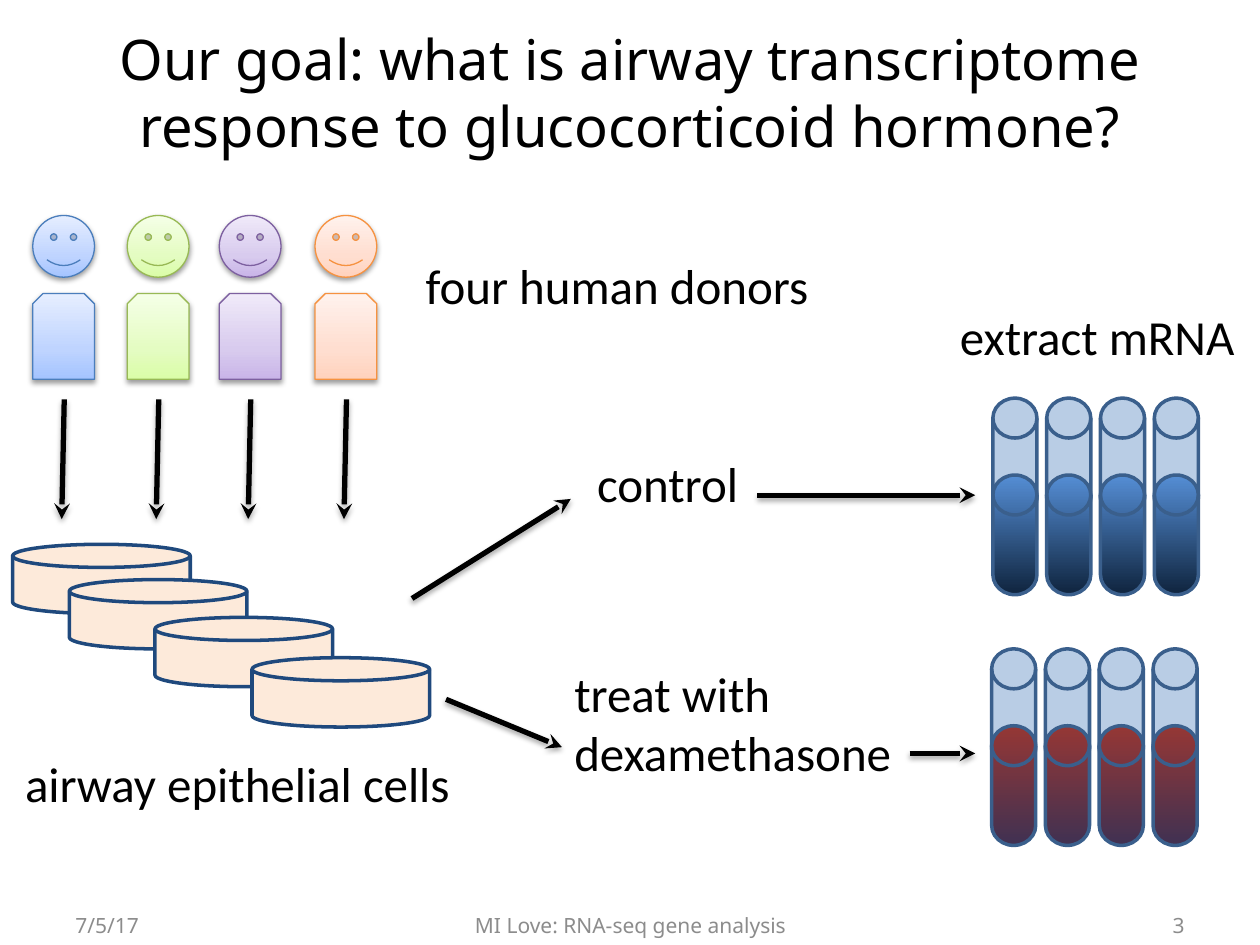
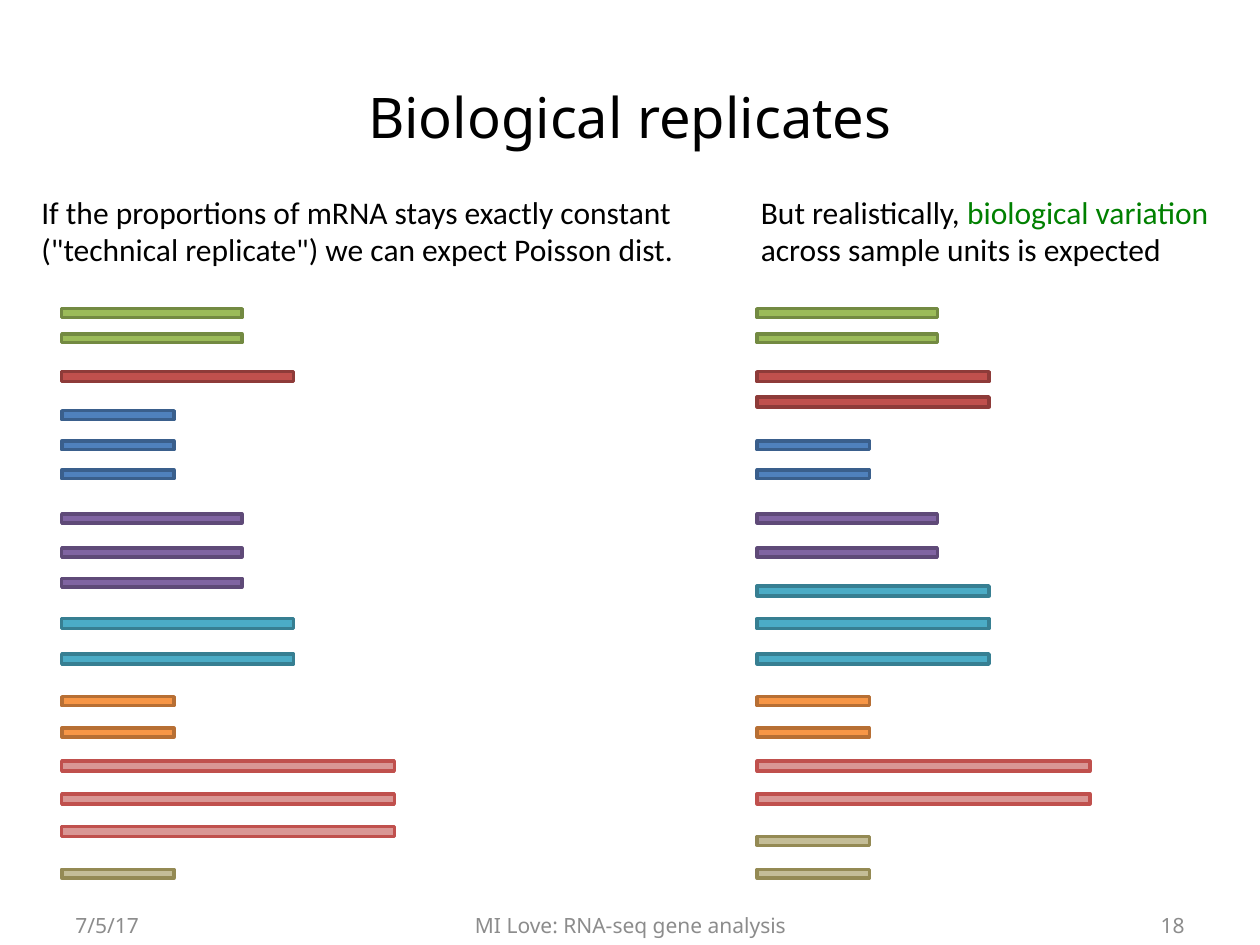
from dataclasses import dataclass

from lxml import etree
from pptx import Presentation
from pptx import util as u
from pptx.dml.color import RGBColor
from pptx.enum import shapes, text
from pptx.oxml.ns import qn

Inches = u.Inches
ALIGN = text.PP_ALIGN
SHAPE = shapes.MSO_SHAPE


@dataclass(frozen=True)
class Theme:
    heading_font: str = "Noto Sans"
    body_font: str = "Calibri"
    title_size: int = 32
    label_size: int = 28
    note_size: int = 18
    footer_size: int = 12
    ink: str = "000000"
    footer_ink: str = "8C8C8C"
    highlight: str = "008000"
    dish_fill: str = "FDEADA"
    dish_line: str = "1F497D"
    glass: str = "B9CDE5"
    glass_line: str = "3A5F8C"
    control_liquid: tuple = ((0, "558ED5"), (100, "0F243E"))
    treated_liquid: tuple = ((0, "953735"), (100, "403152"))
    thin: float = 0.75
    medium: float = 2
    thick: float = 3


THEME = Theme()
SHAPE_SHADOW = {"alpha": 38, "distance": 1.6}
ARROW_SHADOW = {"alpha": 35, "distance": 1.8}

# left edge, outline, gradient from bottom to top
DONORS = [
    (0.26, "4B7EBC", ((0, "A4C4FF"), (35, "BFD4FF"), (100, "E6EEFF"))),
    (1.01, "98B955", ((0, "DAFDA7"), (35, "E4FCC2"), (100, "F5FFE7"))),
    (1.74, "7D60A0", ((0, "C9B5E8"), (35, "D8CBEE"), (100, "F0EAF9"))),
    (2.5, "F69240", ((0, "FFD2BD"), (35, "FFDED0"), (100, "FFF2ED"))),
]
DISHES = [(0.1, 4.32), (0.55, 4.6), (1.23, 4.9), (2, 5.22)]

SHORT, MIDDLE, LONG, LONGEST = (0.89, 0.07), (1.43, 0.07), (1.84, 0.08), (2.64, 0.08)
# fill, outline, bar size, tops in the technical and in the biological column
TRANSCRIPTS = [
    ("9BBB59", "738A42", MIDDLE, (2.45, 2.65), (2.45, 2.65)),
    ("C0504D", "8E3B39", LONG, (2.95,), (2.95, 3.15)),
    ("4F81BD", "3A5F8C", SHORT, (3.26, 3.5, 3.73), (3.5, 3.73)),
    ("8064A2", "5F4A78", MIDDLE, (4.08, 4.35, 4.59), (4.08, 4.35)),
    ("4BACC6", "377F92", LONG, (4.91, 5.19), (4.65, 4.91, 5.19)),
    ("F79646", "B76F34", SHORT, (5.53, 5.78), (5.53, 5.78)),
    ("D99694", "C0504D", LONGEST, (6.04, 6.3, 6.56), (6.04, 6.3)),
    ("C4BD97", "948A54", SHORT, (6.9,), (6.64, 6.9)),
]
TECHNICAL_LEFT, BIOLOGICAL_LEFT = 0.49, 6.01


def color(value):
    return RGBColor.from_string(value)


def add_element(parent, tag, **attributes):
    return etree.SubElement(parent, qn(tag), {k: str(v) for k, v in attributes.items()})


def add_shadow(effects, alpha, distance):
    shadow = add_element(effects, "a:outerShdw", blurRad=u.Pt(3.1), dist=u.Pt(distance),
                         dir=90 * 60000, rotWithShape=0)
    tint = add_element(shadow, "a:srgbClr", val=THEME.ink)
    add_element(tint, "a:alpha", val=alpha * 1000)


def fill_gradient(shape, stops, angle):
    """Fill with (percent, colour) stops; the angle runs clockwise."""
    shape.fill.gradient()
    gradient = shape._element.spPr.find(qn("a:gradFill"))
    for child in list(gradient):
        gradient.remove(child)
    stop_list = add_element(gradient, "a:gsLst")
    for percent, value in stops:
        stop = add_element(stop_list, "a:gs", pos=percent * 1000)
        add_element(stop, "a:srgbClr", val=value)
    add_element(gradient, "a:lin", ang=angle * 60000, scaled=0)


def add_outlined(slide, kind, box, fill, outline, width=THEME.medium, angle=90, shadow=None):
    """Add a preset shape; fill is one colour or a tuple of gradient stops."""
    shape = slide.shapes.add_shape(kind, *map(Inches, box))
    shape.shadow.inherit = False
    if isinstance(fill, str):
        shape.fill.solid()
        shape.fill.fore_color.rgb = color(fill)
    else:
        fill_gradient(shape, fill, angle)
    shape.line.color.rgb = color(outline)
    shape.line.width = u.Pt(width)
    if shadow:
        add_shadow(shape._element.spPr.find(qn("a:effectLst")), **shadow)


def add_arrow(slide, start, end):
    arrow = slide.shapes.add_connector(shapes.MSO_CONNECTOR.STRAIGHT,
                                       *map(Inches, (*start, *end)))
    arrow.line.color.rgb = color(THEME.ink)
    arrow.line.width = u.Pt(THEME.thick)
    add_element(arrow.line._get_or_add_ln(), "a:tailEnd", type="stealth")
    add_shadow(add_element(arrow._element.spPr, "a:effectLst"), **ARROW_SHADOW)


def add_text(slide, box, lines, size, font, align=ALIGN.LEFT, ink=THEME.ink, **frame_format):
    """Add one paragraph per line; a line is a string or a list of (words, colour)."""
    frame = slide.shapes.add_textbox(*map(Inches, box)).text_frame
    for name, value in frame_format.items():
        setattr(frame, name, value)
    for number, line in enumerate(lines):
        paragraph = frame.add_paragraph() if number else frame.paragraphs[0]
        paragraph.alignment = align
        for words, shade in [(line, ink)] if isinstance(line, str) else line:
            run = paragraph.add_run()
            run.text = words
            for name, value in {"name": font, "size": u.Pt(size)}.items():
                setattr(run.font, name, value)
            run.font.color.rgb = color(shade)


def add_label(slide, box, *lines, size=THEME.label_size):
    add_text(slide, box, lines, size, THEME.body_font, word_wrap=False,
             auto_size=text.MSO_AUTO_SIZE.SHAPE_TO_FIT_TEXT)


def add_heading_text(slide, box, words, size, align, ink):
    add_text(slide, box, [words], size, THEME.heading_font, align, ink,
             word_wrap=True, vertical_anchor=text.MSO_ANCHOR.MIDDLE)


def start_slide(presentation, title, title_top, number):
    """Add a blank slide with its title and footer."""
    slide = presentation.slides.add_slide(presentation.slide_layouts[6])
    add_heading_text(slide, (0.5, title_top, 9, 1.25), title,
                     THEME.title_size, ALIGN.CENTER, THEME.ink)
    for left, width, words, align in [
        (0.5, 2.33, "7/5/17", ALIGN.LEFT),
        (3.42, 3.17, "MI Love: RNA-seq gene analysis", ALIGN.CENTER),
        (7.17, 2.33, str(number), ALIGN.RIGHT),
    ]:
        add_heading_text(slide, (left, 7.14, width, 0.4), words,
                         THEME.footer_size, align, THEME.footer_ink)
    return slide


def add_donor(slide, left, outline, stops):
    for kind, top, height in [(SHAPE.SMILEY_FACE, 1.71, 0.49),
                              (SHAPE.SNIP_2_SAME_RECTANGLE, 2.33, 0.68)]:
        add_outlined(slide, kind, (left, top, 0.49, height), stops, outline,
                     THEME.thin, angle=270, shadow=SHAPE_SHADOW)
    add_arrow(slide, (left + 0.25, 3.17), (left + 0.23, 4.12))


def add_tubes(slide, left, top, liquid):
    for index in range(len(DONORS)):
        for drop, fill in [(0, THEME.glass), (0.61, liquid)]:
            add_outlined(slide, SHAPE.FLOWCHART_MAGNETIC_DISK,
                         (left + 0.427 * index, top + drop, 0.35, 0.95),
                         fill, THEME.glass_line)


def add_bars(slide, left, tops, size, fill, outline):
    for top in tops:
        add_outlined(slide, SHAPE.RECTANGLE, (left, top, *size), fill, outline)


def build_experiment(presentation):
    slide = start_slide(
        presentation,
        "Our goal: what is airway transcriptome response to glucocorticoid hormone?", 0.1, 3)
    for donor in DONORS:
        add_donor(slide, *donor)
    for left, top in DISHES:
        add_outlined(slide, SHAPE.FLOWCHART_MAGNETIC_DISK, (left, top, 1.41, 0.55),
                     THEME.dish_fill, THEME.dish_line)
    add_tubes(slide, 7.88, 3.16, THEME.control_liquid)
    add_tubes(slide, 7.87, 5.15, THEME.treated_liquid)
    add_label(slide, (3.28, 1.98, 3.29, 0.57), "four human donors")
    add_label(slide, (0.1, 5.93, 3.62, 0.57), "airway epithelial cells")
    add_label(slide, (4.64, 3.55, 1.35, 0.57), "control")
    add_label(slide, (4.46, 5.22, 2.76, 1.04), "treat with", "dexamethasone")
    add_label(slide, (7.52, 2.38, 2.42, 0.57), "extract mRNA")
    for start, end in [((3.27, 4.75), (4.53, 3.96)), ((3.54, 5.55), (4.46, 5.93)),
                       ((7.22, 5.98), (7.74, 5.98)), ((6.01, 3.93), (7.74, 3.93))]:
        add_arrow(slide, start, end)


def build_replicates(presentation):
    slide = start_slide(presentation, "Biological replicates", 0.3, 18)
    add_label(slide, (0.23, 1.48, 5.29, 0.71),
              "If the proportions of mRNA stays exactly constant",
              '("technical replicate") we can expect Poisson dist.', size=THEME.note_size)
    add_label(slide, (5.94, 1.48, 3.82, 0.71),
              [("But realistically, ", THEME.ink), ("biological variation", THEME.highlight)],
              "across sample units is expected", size=THEME.note_size)
    for fill, outline, size, technical_tops, biological_tops in TRANSCRIPTS:
        add_bars(slide, TECHNICAL_LEFT, technical_tops, size, fill, outline)
        add_bars(slide, BIOLOGICAL_LEFT, biological_tops, size, fill, outline)


def main():
    presentation = Presentation()
    presentation.slide_width = Inches(10)
    presentation.slide_height = Inches(7.5)
    build_experiment(presentation)
    build_replicates(presentation)
    presentation.save("out.pptx")


if __name__ == "__main__":
    main()
